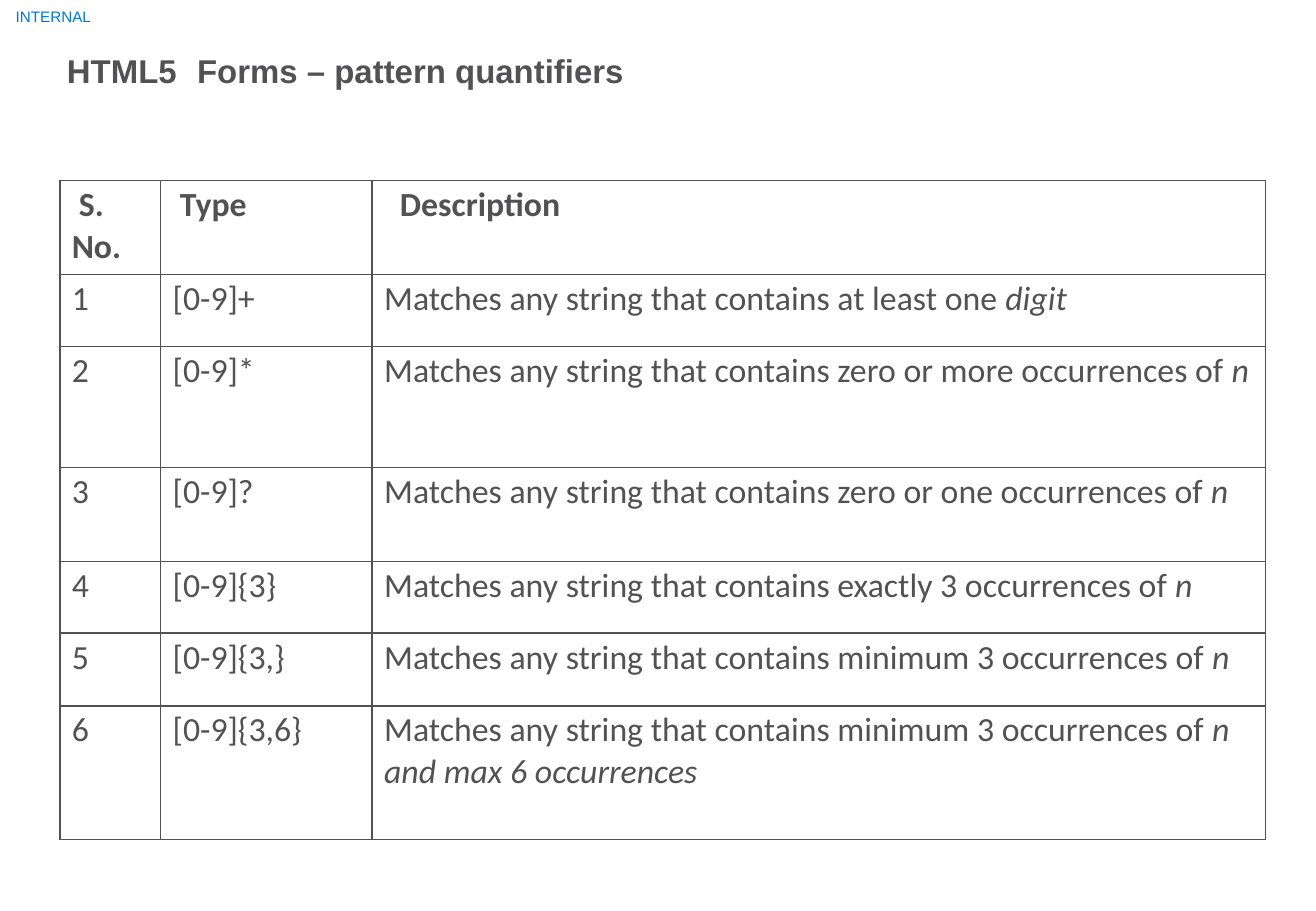
from lxml.etree import SubElement
from pptx import Presentation
from pptx.dml.color import RGBColor
from pptx.oxml.ns import qn
from pptx.util import Cm, Pt

GREY, BLUE = "525254", "0078D6"


def rgb(value):
    return RGBColor.from_string(value)


def write(tf, text, size=20, font="Calibri", color=GREY, bold=False, indent=0, tab=None):
    """Newlines split paragraphs, underscores toggle italics, indent is for the first paragraph."""
    tf.word_wrap = True
    for i, line in enumerate(text.split("\n")):
        p = tf.add_paragraph() if i else tf.paragraphs[0]
        pPr = p._p.get_or_add_pPr()
        if indent and i == 0:
            pPr.set("marL", str(Cm(indent)))
        if tab:
            SubElement(SubElement(pPr, qn("a:tabLst")), qn("a:tab"), pos=str(Cm(tab)), algn="l")
        for j, part in enumerate(line.split("_")):
            if part:
                r = p.add_run()
                r.text = part
                r.font.name, r.font.size = font, Pt(size)
                r.font.bold, r.font.italic = bold, j % 2 == 1
                r.font.color.rgb = rgb(color)


prs = Presentation()
prs.slide_width, prs.slide_height = Cm(27.51), Cm(19.05)
s = prs.slides.add_slide(prs.slide_layouts[6])

# Classification label and title
headings = [
    ("INTERNAL", (0.33, 0.1, 2, 0.46), dict(size=9, color=BLUE)),
    ("HTML5\tForms – pattern quantifiers", (1.4, 0.99, 13, 0.89),
     dict(size=19.5, bold=True, tab=2.72)),
]
for text, box, style in headings:
    tf = s.shapes.add_textbox(*map(Cm, box)).text_frame
    tf.margin_left = tf.margin_right = tf.margin_bottom = 0
    tf.margin_top = Cm(0.06)
    write(tf, text, font="Arial", **style)

# Table of quantifiers
matches = "Matches any string that contains "
rows = [
    ("S.\nNo.", "Type", "Description"),
    ("1", "[0-9]+", matches + "at least one _digit"),
    ("2", "[0-9]*", matches + "zero or more occurrences of _n"),
    ("3", "[0-9]?", matches + "zero or one occurrences of _n"),
    ("4", "[0-9]{3}", matches + "exactly 3 occurrences of _n"),
    ("5", "[0-9]{3,}", matches + "minimum 3 occurrences of _n"),
    ("6", "[0-9]{3,6}", matches + "minimum 3 occurrences of _n\n_and max 6 occurrences"),
]
widths = [2.11, 4.42, 18.67]
heights = [1.96, 1.5, 2.54, 1.96, 1.5, 1.52, 2.79]
header_indents = [0.15, 0.15, 0.33]

table = s.shapes.add_table(len(rows), len(widths), Cm(1.25), Cm(3.78),
                           Cm(sum(widths)), Cm(sum(heights))).table
table.first_row = table.horz_banding = False
for column, width in zip(table.columns, widths):
    column.width = Cm(width)

for i, (row, height) in enumerate(zip(rows, heights)):
    table.rows[i].height = Cm(height)
    for j, text in enumerate(row):
        cell = table.cell(i, j)
        cell.margin_left, cell.margin_top = Cm(0.25), Cm(0.08)
        cell.margin_right = cell.margin_bottom = 0
        # Thin grey border on every side
        tcPr = cell._tc.get_or_add_tcPr()
        for side in ("lnL", "lnR", "lnT", "lnB"):
            ln = SubElement(tcPr, qn("a:" + side), w=str(Pt(1)))
            SubElement(SubElement(ln, qn("a:solidFill")), qn("a:srgbClr"), val=GREY)
        cell.fill.background()
        write(cell.text_frame, text, bold=i == 0, indent=0 if i else header_indents[j])

prs.save("out.pptx")
